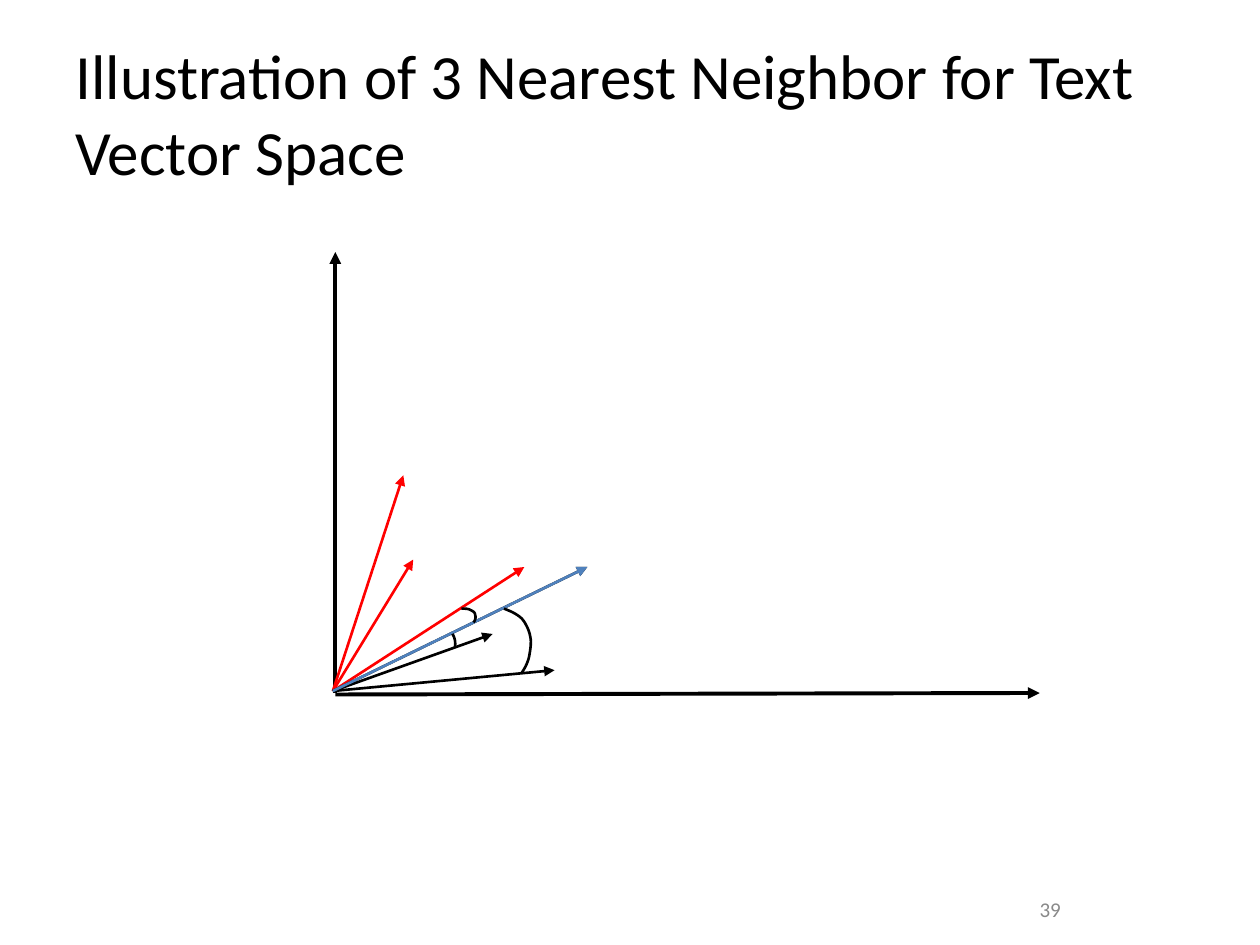
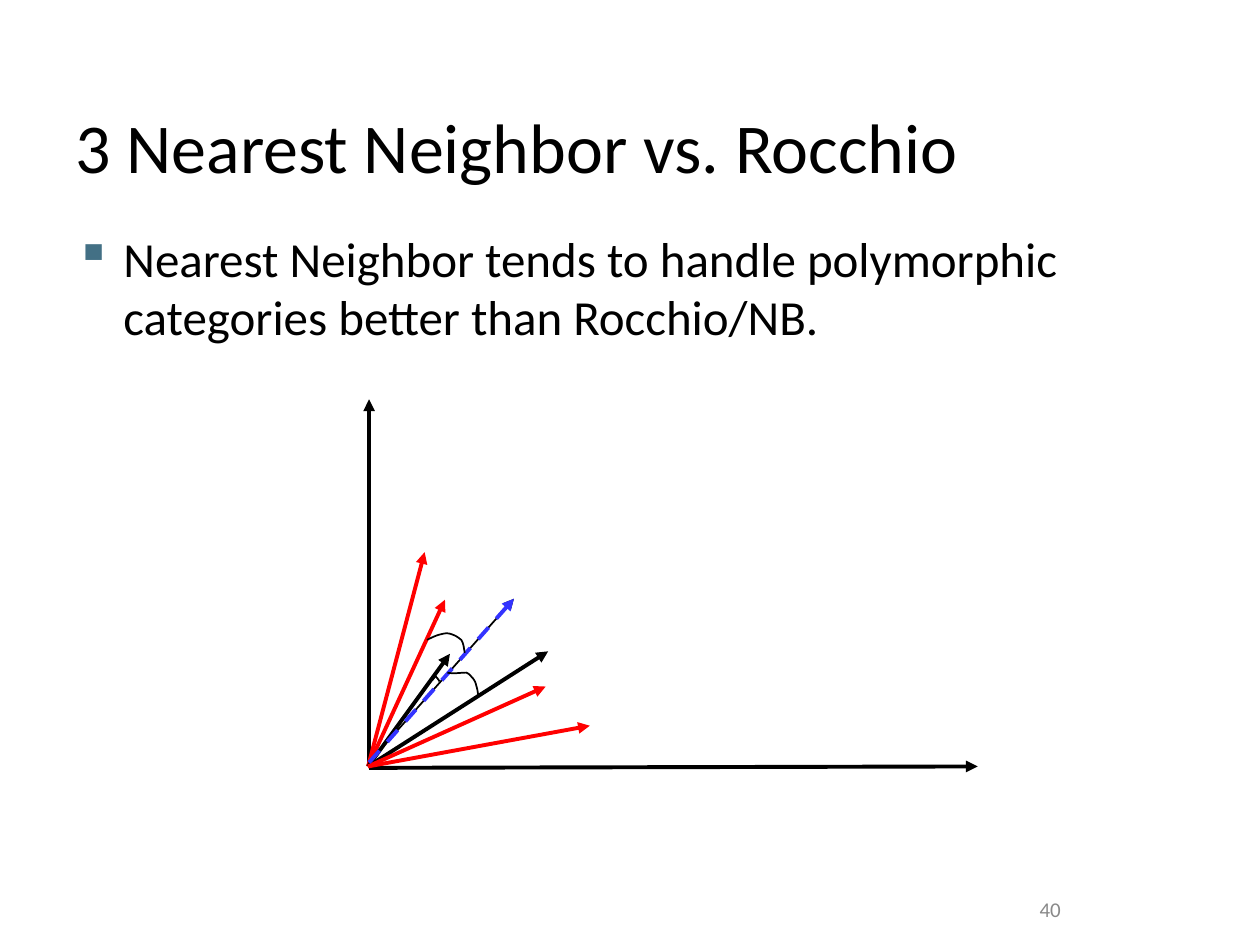
from pptx import Presentation
from pptx.dml.color import RGBColor
from pptx.enum.dml import MSO_LINE
from pptx.enum.shapes import MSO_CONNECTOR
from pptx.enum.text import MSO_ANCHOR, MSO_AUTO_SIZE, PP_ALIGN
from pptx.oxml.ns import qn
from pptx.util import Cm, Pt
from lxml.etree import SubElement

FONT = "Calibri"
BLACK, RED, BLUE = "000000", "FF0000", "4F81BD"
VIOLET, GRAY, TEAL = "3333FF", "898989", "437085"
STEPS = 8  # straight pieces per curve


def color(code):
    return RGBColor.from_string(code)


def place(shape, left, top, width, height):
    shape.left, shape.top = Cm(left), Cm(top)
    shape.width, shape.height = Cm(width), Cm(height)


def write(shape, text, size, code=BLACK, align=PP_ALIGN.LEFT,
          anchor=MSO_ANCHOR.TOP, left=0.15, pad=0.15):
    """Fill a shape with one formatted paragraph and return it."""
    frame = shape.text_frame
    frame.text = text
    frame.word_wrap = True
    frame.auto_size = MSO_AUTO_SIZE.NONE
    frame.vertical_anchor = anchor
    frame.margin_left, frame.margin_right = Cm(left), Cm(0.25)
    frame.margin_top = frame.margin_bottom = Cm(pad)
    para = frame.paragraphs[0]
    para.alignment = align
    for run in para.runs:
        run.font.name, run.font.size = FONT, Pt(size)
        run.font.color.rgb = color(code)
    return para


def add_page(deck, title, size, number):
    """Title-only slide with its title and page number."""
    slide = deck.slides.add_slide(deck.slide_layouts[5])
    place(slide.shapes.title, 1.27, 0, 22.86, 3.94)
    write(slide.shapes.title, title, size, anchor=MSO_ANCHOR.BOTTOM, left=0.25)
    box = slide.shapes.add_textbox(Cm(18.21), Cm(17.98), Cm(5.92), Cm(0.69))
    write(box, number, 12, GRAY, PP_ALIGN.CENTER, MSO_ANCHOR.MIDDLE,
          left=0.25, pad=0.13)
    return slide


def add_point(slide, text):
    """Bulleted statement under the title."""
    box = slide.shapes.add_textbox(Cm(1.27), Cm(4.45), Cm(22.86), Cm(14.6))
    props = write(box, text, 28)._p.get_or_add_pPr()
    props.set("marL", str(Cm(1.07)))
    props.set("indent", str(-Cm(0.97)))
    tint = SubElement(props, qn("a:buClr"))
    SubElement(tint, qn("a:srgbClr"), val=TEAL)
    SubElement(props, qn("a:buChar"), char="▪")


def add_arrow(slide, start, end, code, width, dash=None):
    ends = [Cm(v) for v in (*start, *end)]
    arrow = slide.shapes.add_connector(MSO_CONNECTOR.STRAIGHT, *ends)
    arrow.line.color.rgb = color(code)
    arrow.line.width = Pt(width)
    if dash:
        arrow.line.dash_style = dash
    SubElement(arrow.line._get_or_add_ln(), qn("a:tailEnd"), type="triangle")
    SubElement(arrow._element.spPr, qn("a:effectLst"))


def add_axes(slide, origin, top, right):
    x, y = origin
    add_arrow(slide, origin, (x, top), BLACK, 2.25)
    add_arrow(slide, (x, y + 0.03), (right, y), BLACK, 2.25)


def add_rays(slide, origin, rays, width):
    for end, code in rays:
        add_arrow(slide, origin, end, code, width)


def bezier(a, b, c, d, t):
    u = 1 - t
    return tuple(Cm(u**3 * p + 3 * u * u * t * q + 3 * u * t * t * r + t**3 * s)
                 for p, q, r, s in zip(a, b, c, d))


def add_arc(slide, nodes, width):
    """Angle mark: a start, then two controls and an end per curve."""
    dots = [bezier(*nodes[i:i + 4], step / STEPS)
            for i in range(0, len(nodes) - 1, 3)
            for step in range(1, STEPS + 1)]
    pen = slide.shapes.build_freeform(*[Cm(v) for v in nodes[0]])
    pen.add_line_segments(dots, close=False)
    arc = pen.convert_to_shape()
    arc.shadow.inherit = False
    arc.fill.background()
    arc.line.color.rgb = color(BLACK)
    arc.line.width = Pt(width)


def draw_knn(deck):
    slide = add_page(
        deck, "Illustration of 3 Nearest Neighbor for Text Vector Space", 36, "39")
    add_axes(slide, (6.76, 13.97), 5.08, 20.96)
    query = (11.84, 11.43)
    add_rays(slide, (6.71, 13.93), [
        ((8.13, 9.58), RED), ((8.33, 11.28), RED), ((10.57, 11.43), RED),
        ((11.18, 13.51), BLACK), ((9.93, 12.78), BLACK),
        (query, BLACK), (query, BLUE)], 1.5)
    # Angles from the query to its three neighbors
    arcs = [
        [(9.12, 12.78), (9.17, 12.85), (9.19, 12.95), (9.17, 13.06)],
        [(9.3, 12.27), (9.37, 12.27), (9.42, 12.27), (9.47, 12.29),
         (9.53, 12.32), (9.58, 12.34), (9.58, 12.4),
         (9.6, 12.45), (9.58, 12.5), (9.55, 12.55)],
        [(10.16, 12.27), (10.29, 12.32), (10.41, 12.37), (10.52, 12.47),
         (10.59, 12.55), (10.67, 12.7), (10.69, 12.83),
         (10.72, 12.95), (10.69, 13.11), (10.67, 13.23),
         (10.64, 13.36), (10.59, 13.46), (10.52, 13.56)],
    ]
    for arc in arcs:
        add_arc(slide, arc, 1.5)


def draw_versus(deck):
    slide = add_page(deck, "3 Nearest Neighbor vs. Rocchio", 40, "40")
    add_point(slide, "Nearest Neighbor tends to handle polymorphic "
                     "categories better than Rocchio/NB.")
    add_axes(slide, (7.44, 15.45), 8.05, 19.71)
    add_rays(slide, (7.42, 15.45), [
        ((8.56, 11.13), RED), ((8.97, 12.09), RED),
        ((9.07, 13.18), BLACK), ((11.05, 13.13), BLACK),
        ((11, 13.84), RED), ((11.89, 14.63), RED)], 2.25)
    # Dashed query over a thin line
    start, query = (7.44, 15.37), (10.36, 12.07)
    add_arrow(slide, start, query, BLACK, 1)
    add_arrow(slide, start, query, VIOLET, 2.25, MSO_LINE.DASH)
    # Angles from the query to its three neighbors
    arcs = [
        [(8.71, 13.72), (8.74, 13.69), (8.76, 13.64), (8.79, 13.64),
         (8.81, 13.67), (8.84, 13.69), (8.86, 13.74)],
        [(9.02, 13.56), (9.12, 13.59), (9.3, 13.56), (9.4, 13.56),
         (9.47, 13.59), (9.47, 13.61), (9.53, 13.67),
         (9.55, 13.69), (9.6, 13.77), (9.6, 13.82),
         (9.63, 13.89), (9.63, 13.97), (9.65, 14.05)],
        [(8.61, 12.9), (8.71, 12.85), (8.81, 12.8), (8.92, 12.78),
         (9.02, 12.75), (9.09, 12.78), (9.14, 12.8),
         (9.22, 12.83), (9.27, 12.88), (9.3, 12.9),
         (9.35, 12.98), (9.35, 13.06), (9.37, 13.16)],
    ]
    for arc in arcs:
        add_arc(slide, arc, 1)


def main():
    deck = Presentation()
    deck.slide_width, deck.slide_height = Cm(25.4), Cm(19.05)
    draw_knn(deck)
    draw_versus(deck)
    deck.save("out.pptx")


if __name__ == "__main__":
    main()
